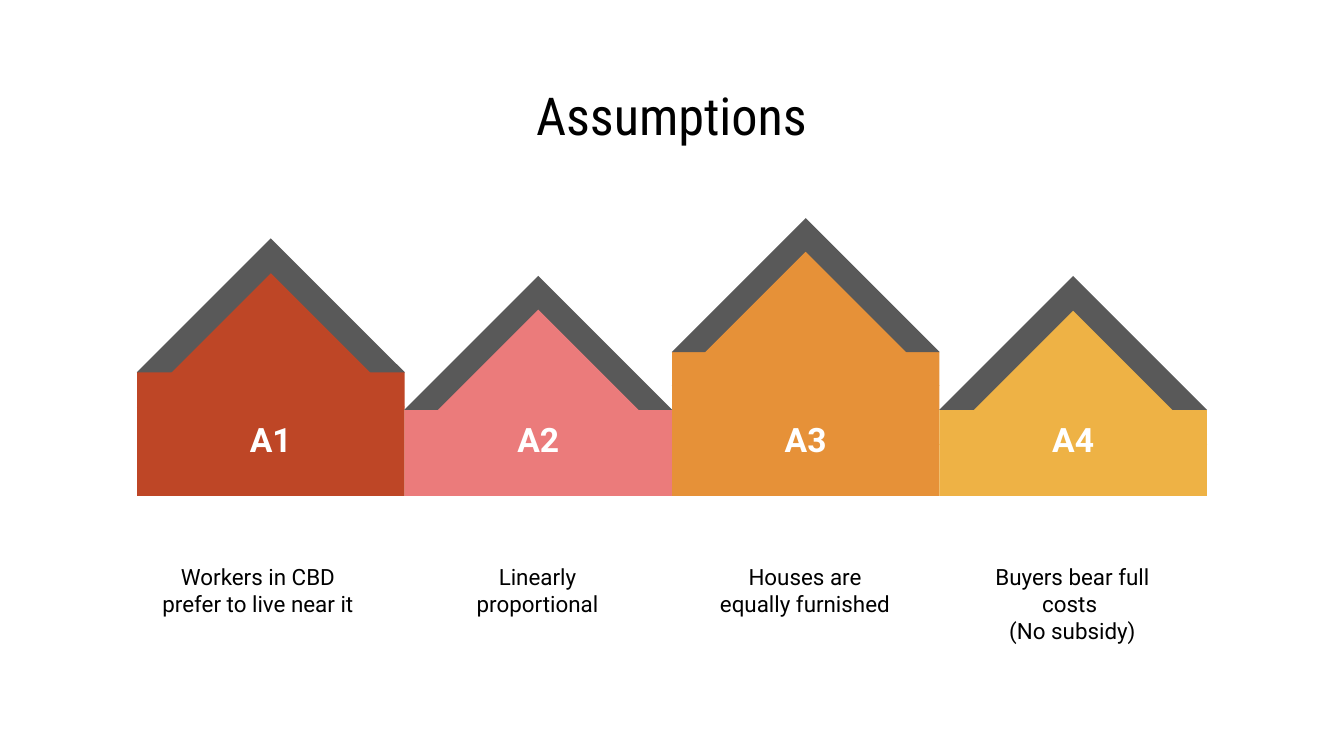
from pptx import Presentation
from pptx.dml.color import RGBColor
from pptx.enum.shapes import MSO_SHAPE
from pptx.enum.text import MSO_ANCHOR, MSO_AUTO_SIZE, PP_ALIGN
from pptx.util import Inches, Pt

BLACK = RGBColor(0x00, 0x00, 0x00)
WHITE = RGBColor(0xFF, 0xFF, 0xFF)
ROOF_GREY = RGBColor(0x59, 0x59, 0x59)
BRICK = RGBColor(0xBE, 0x46, 0x26)
PINK = RGBColor(0xEB, 0x7B, 0x7B)
ORANGE = RGBColor(0xE6, 0x91, 0x38)
YELLOW = RGBColor(0xEE, 0xB2, 0x45)

SLIDE_WIDTH = 10
STREET_LEFT = 1.02
HOUSE_WIDTH = 1.99
GROUND = 3.69
GABLE_SIDE = 1.41
LABEL_WIDTH = 1.6

HOUSES = [
    ("A1", BRICK, 2.77, 0.26, ["Workers in CBD prefer to live near it"], 1.02, 1.8),
    ("A2", PINK, 3.05, 0.25, ["Linearly proportional"], 3.2, 1.6),
    ("A3", ORANGE, 2.62, 0.25, ["Houses are equally furnished"], 5.19, 1.6),
    ("A4", YELLOW, 3.05, 0.26, ["Buyers bear full costs ", "(No subsidy)"], 7.18, 1.6),
]


def write_text(holder, lines, font="Roboto", size=12, color=BLACK, bold=False,
               anchor=MSO_ANCHOR.TOP):
    frame = holder.text_frame
    frame.word_wrap = True
    frame.auto_size = MSO_AUTO_SIZE.NONE
    frame.vertical_anchor = anchor
    frame.margin_left = frame.margin_right = Inches(0.1)
    frame.margin_top = frame.margin_bottom = Inches(0.1)
    frame.text = "\n".join(lines)
    for paragraph in frame.paragraphs:
        paragraph.alignment = PP_ALIGN.CENTER
        paragraph.font.name = font
        paragraph.font.size = Pt(size)
        paragraph.font.bold = bold
        paragraph.font.color.rgb = color


def add_text(slide, left, top, width, height, lines, **text_format):
    box = slide.shapes.add_textbox(Inches(left), Inches(top), Inches(width), Inches(height))
    write_text(box, lines, **text_format)


def paint(shape, color):
    shape.shadow.inherit = False
    shape.fill.solid()
    shape.fill.fore_color.rgb = color
    shape.line.fill.background()


def add_gable(slide, center, base, color):
    half = GABLE_SIDE / 2
    gable = slide.shapes.add_shape(
        MSO_SHAPE.RIGHT_TRIANGLE, Inches(center - half), Inches(base - half),
        Inches(GABLE_SIDE), Inches(GABLE_SIDE))
    gable.rotation = 135
    paint(gable, color)


def add_house(slide, left, eaves, roof_thickness, color):
    right = left + HOUSE_WIDTH
    center = left + HOUSE_WIDTH / 2
    outline = slide.shapes.build_freeform(Inches(right), Inches(eaves), scale=1.0)
    corners = [(right, GROUND), (left, GROUND), (left, eaves), (center, eaves - 0.15)]
    outline.add_line_segments([(Inches(x), Inches(y)) for x, y in corners])
    paint(outline.convert_to_shape(), color)
    add_gable(slide, center, eaves, ROOF_GREY)
    add_gable(slide, center, eaves + roof_thickness, color)


def add_title(slide):
    title = slide.shapes.title
    title.left, title.top = Inches(3.12), Inches(0.59)
    title.width, title.height = Inches(3.75), Inches(0.53)
    write_text(title, ["Assumptions"], font="Roboto Condensed", size=28,
               anchor=MSO_ANCHOR.MIDDLE)


def main():
    deck = Presentation()
    deck.slide_width = Inches(SLIDE_WIDTH)
    deck.slide_height = Inches(SLIDE_WIDTH * 9 / 16)
    slide = deck.slides.add_slide(deck.slide_layouts[5])
    add_title(slide)
    for index, house in enumerate(HOUSES):
        label, color, eaves, roof_thickness, caption, caption_left, caption_width = house
        left = STREET_LEFT + index * HOUSE_WIDTH
        label_left = left + (HOUSE_WIDTH - LABEL_WIDTH) / 2
        add_house(slide, left, eaves, roof_thickness, color)
        add_text(slide, label_left, 3.08, LABEL_WIDTH, 0.37, [label], size=18,
                 color=WHITE, bold=True, anchor=MSO_ANCHOR.MIDDLE)
        add_text(slide, caption_left, 4.09, caption_width, 0.78, caption)
    deck.save("out.pptx")


if __name__ == "__main__":
    main()
